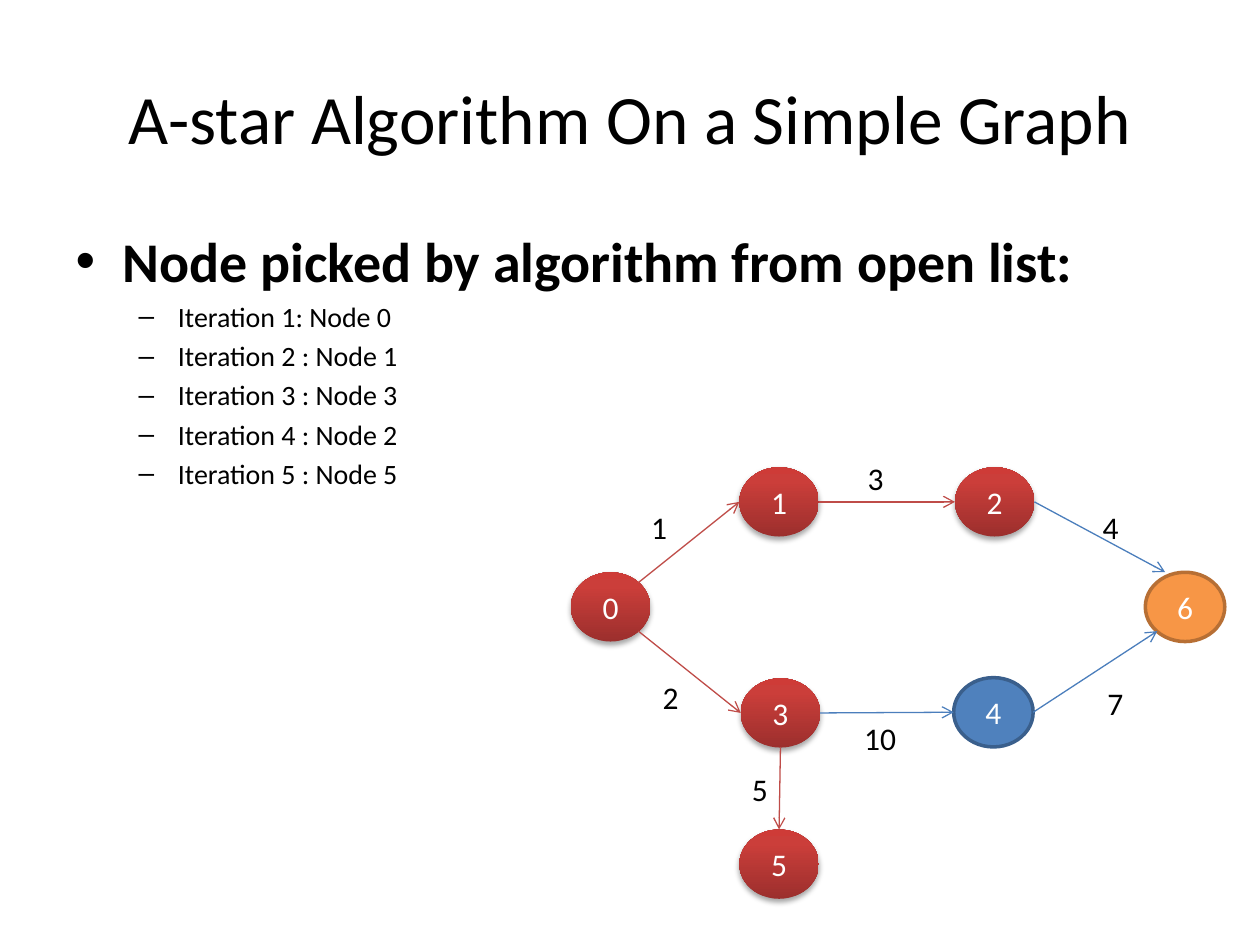
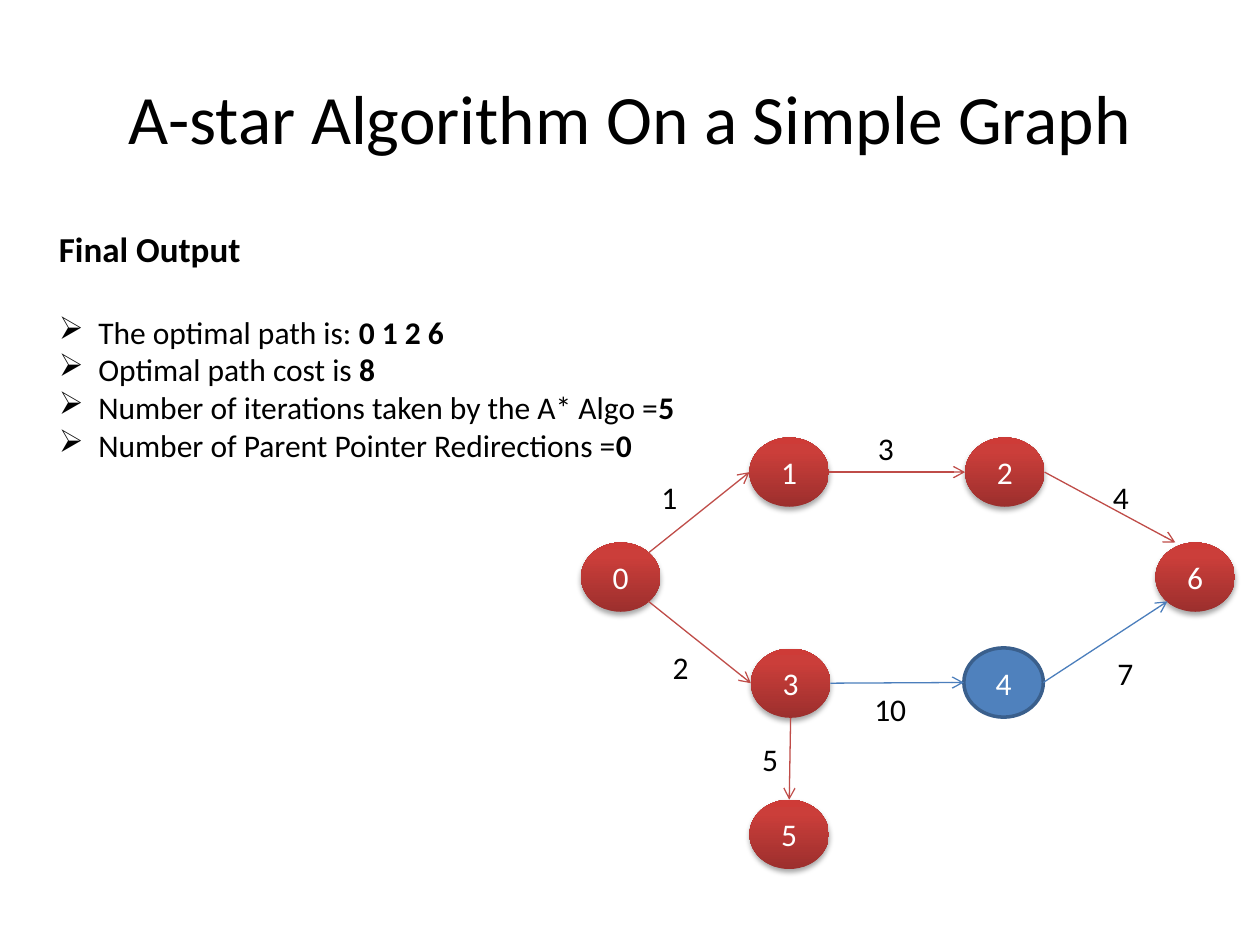
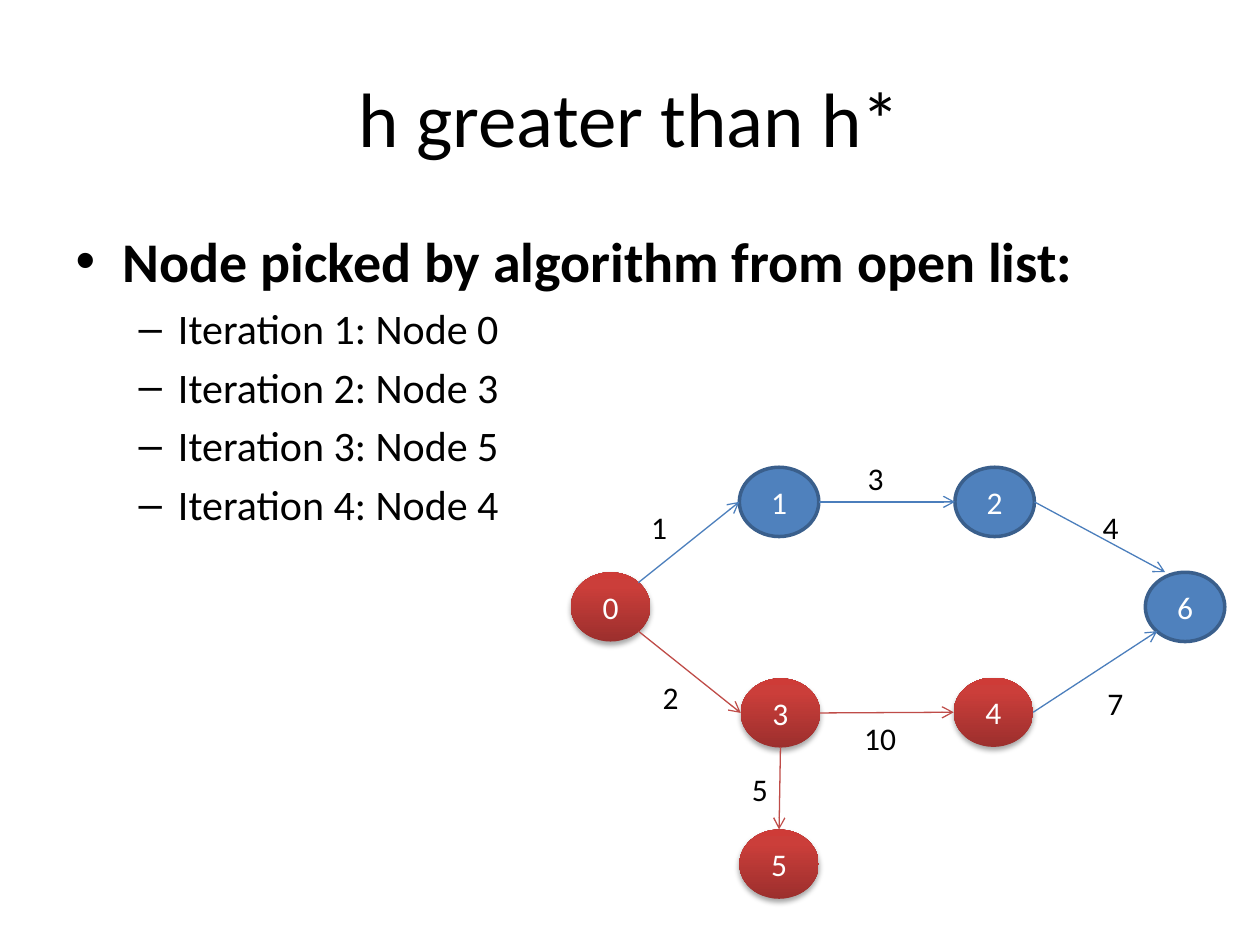
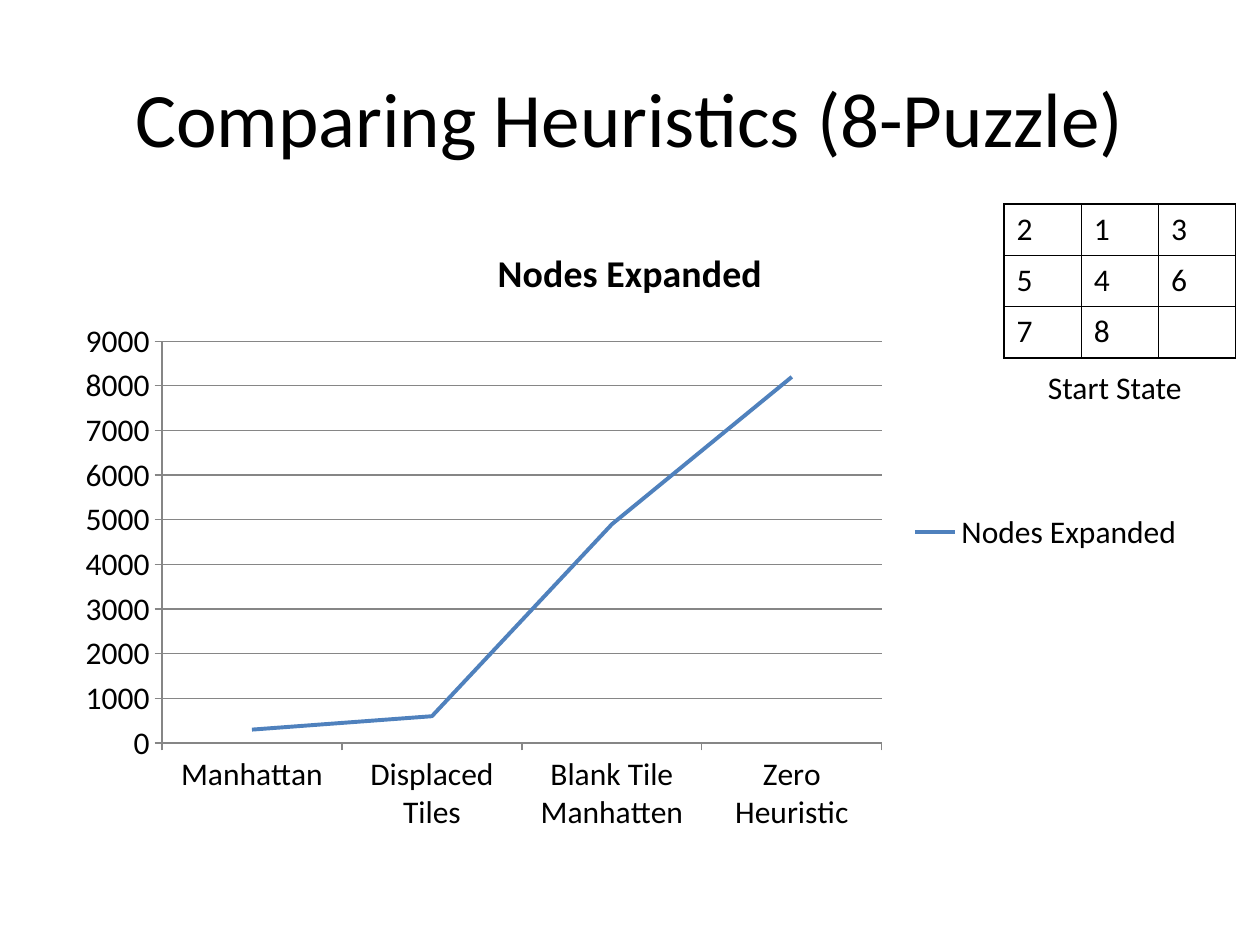
from lxml.etree import SubElement
from pptx import Presentation
from pptx.chart.data import CategoryChartData
from pptx.dml.color import RGBColor
from pptx.enum.chart import XL_CHART_TYPE, XL_LEGEND_POSITION, XL_TICK_MARK
from pptx.enum.shapes import MSO_CONNECTOR, MSO_SHAPE
from pptx.enum.text import MSO_ANCHOR, PP_ALIGN
from pptx.oxml import parse_xml
from pptx.oxml.ns import nsdecls, qn
from pptx.util import Pt

FONT = "Calibri"
HEX = {
    "black": "000000", "white": "FFFFFF", "grid": "868686",
    "blue": "4F81BD", "navy": "3A5F8C", "orange": "F79646", "brown": "B76F34",
    "red edge": "BF4C48", "blue edge": "4B7EBC",
    "dark red": "9C2F2D", "mid red": "CB3E3A", "light red": "CE3B37",
}
RGB = {name: RGBColor.from_string(code) for name, code in HEX.items()}

# Fill and shadow of a node that the search has picked
GLOW = (
    f'<a:gradFill {nsdecls("a")} rotWithShape="1"><a:gsLst>'
    f'<a:gs pos="0"><a:srgbClr val="{HEX["dark red"]}"/></a:gs>'
    f'<a:gs pos="80000"><a:srgbClr val="{HEX["mid red"]}"/></a:gs>'
    f'<a:gs pos="100000"><a:srgbClr val="{HEX["light red"]}"/></a:gs>'
    '</a:gsLst><a:lin ang="16200000" scaled="0"/></a:gradFill>'
)
SHADE = (
    f'<a:outerShdw {nsdecls("a")} blurRad="39400" dist="22900" dir="5400000" '
    f'rotWithShape="0"><a:srgbClr val="{HEX["black"]}"><a:alpha val="35000"/>'
    '</a:srgbClr></a:outerShdw>'
)

# Graph: node corners, edges with the side they leave and reach, edge costs
WIDE, HIGH = 45.4, 39.6
NODES = {
    "0": (326.2, 327), "4": (545, 387.2), "2": (545.7, 267), "6": (654.5, 327),
    "3": (423.3, 387.6), "1": (422.5, 267), "5": (422.5, 474),
}
SIDES = {
    "top": (0.5, 0), "bottom": (0.5, 1), "left": (0, 0.5), "right": (1, 0.5),
    "NE": (0.85, 0.15), "SE": (0.85, 0.85), "SW": (0.15, 0.85), "NNW": (0.25, 0),
}
EDGES = [
    ("0", "NE", "1", "left"), ("1", "right", "2", "left"),
    ("2", "right", "6", "NNW"), ("0", "SE", "3", "left"),
    ("3", "right", "4", "left"), ("4", "right", "6", "SW"),
    ("3", "bottom", "5", "top"),
]
COSTS = [  # text, left, top, width, extra left margin
    ("3", 484.6, 258.5, 39.6, 4), ("4", 614.9, 286.6, 51, 8),
    ("7", 625.7, 387.4, 28.8, 0), ("10", 486.7, 407.5, 39.6, 0),
    ("1", 365, 286.6, 28.8, 0), ("2", 371.5, 383.8, 22.3, 0),
    ("5", 422.6, 436.3, 22.3, 0),
]

PICKED = "Node picked by algorithm from open list:"
PAGES = [
    {"title": "A-star Algorithm On a Simple Graph", "size": 39.6,
     "list": ["Iteration 1: Node 0", "Iteration 2 : Node 1", "Iteration 3 : Node 3",
              "Iteration 4 : Node 2", "Iteration 5 : Node 5"],
     "small": 16, "red": "01235", "orange": "6", "shift": (0, 0)},
    {"title": "A-star Algorithm On a Simple Graph", "size": 39.6,
     "red": "012356", "orange": "", "shift": (5.8, -17)},
    {"title": "h greater than h*", "size": 44,
     "list": ["Iteration 1: Node 0", "Iteration 2: Node 3",
              "Iteration 3: Node 5", "Iteration 4: Node 4"],
     "small": 24, "red": "0345", "orange": "", "shift": (0, 0)},
    {"title": "Comparing Heuristics (8-Puzzle)", "size": 44},
]


def write(par, text, size=18, color="black", bold=False):
    run = par.add_run()
    run.text = text
    font = run.font
    font.name, font.size, font.bold = FONT, Pt(size), bold
    font.color.rgb = RGB[color]


def add_box(slide, left, top, width, height, pad=0):
    box = slide.shapes.add_textbox(Pt(left), Pt(top), Pt(width), Pt(height))
    frame = box.text_frame
    frame.word_wrap = True
    frame.margin_left = Pt(7.2 + pad)
    return frame


deck = Presentation()
deck.slide_width, deck.slide_height = Pt(720), Pt(540)
slides = []

for page in PAGES:
    # Title
    slide = deck.slides.add_slide(deck.slide_layouts[1 if "list" in page else 5])
    slides.append(slide)
    title = slide.shapes.title
    title.left, title.top, title.width, title.height = Pt(36), Pt(21.6), Pt(648), Pt(90)
    title.text_frame.vertical_anchor = MSO_ANCHOR.MIDDLE
    par = title.text_frame.paragraphs[0]
    par.alignment = PP_ALIGN.CENTER
    write(par, page["title"], page["size"])

    # List of picked nodes
    if "list" in page:
        body = slide.placeholders[1]
        body.left, body.top, body.width, body.height = Pt(36), Pt(126), Pt(648), Pt(356.4)
        write(body.text_frame.paragraphs[0], PICKED, 32, bold=True)
        for line in page["list"]:
            par = body.text_frame.add_paragraph()
            par.level = 1
            write(par, line, page["small"])

    if "red" not in page:
        continue
    dx, dy = page["shift"]

    # Nodes
    for name, (x, y) in NODES.items():
        node = slide.shapes.add_shape(
            MSO_SHAPE.OVAL, Pt(x + dx), Pt(y + dy), Pt(WIDE), Pt(HIGH))
        node.shadow.inherit = False
        props = node._element.spPr
        if name in page["red"]:
            node.line.fill.background()
            props.find(qn("a:prstGeom")).addnext(parse_xml(GLOW))
            props.find(qn("a:effectLst")).append(parse_xml(SHADE))
        else:
            warm = name in page["orange"]
            node.fill.solid()
            node.fill.fore_color.rgb = RGB["orange" if warm else "blue"]
            node.line.color.rgb = RGB["brown" if warm else "navy"]
            node.line.width = Pt(2)
        node.text_frame.vertical_anchor = MSO_ANCHOR.MIDDLE
        par = node.text_frame.paragraphs[0]
        par.alignment = PP_ALIGN.CENTER
        write(par, name, color="white")

    # Edges: red where both ends have been picked
    for tail, out, head, into in EDGES:
        ends = []
        for name, side in ((tail, out), (head, into)):
            (x, y), (fx, fy) = NODES[name], SIDES[side]
            ends += [Pt(x + dx + fx * WIDE), Pt(y + dy + fy * HIGH)]
        edge = slide.shapes.add_connector(MSO_CONNECTOR.STRAIGHT, *ends)
        both = tail in page["red"] and head in page["red"]
        edge.line.color.rgb = RGB["red edge" if both else "blue edge"]
        edge.line.width = Pt(0.75)
        props = edge._element.spPr
        SubElement(props.find(qn("a:ln")), qn("a:tailEnd"), type="arrow")
        SubElement(props, qn("a:effectLst"))

    # Edge costs
    for cost, x, y, width, pad in COSTS:
        frame = add_box(slide, x + dx, y + dy, width, 29, pad)
        write(frame.paragraphs[0], cost)

# Final output
frame = add_box(slides[1], 26.6, 126.7, 460.8, 143.3)
write(frame.paragraphs[0], "Final Output", 20, bold=True)
RESULTS = [
    ("The optimal path is: ", "0 1 2 6"), ("Optimal path cost is ", "8"),
    ("Number of iterations taken by the A* Algo =", "5"),
    ("Number of Parent Pointer Redirections =", "0"),
]
for row, (text, value) in enumerate(RESULTS):
    par = frame.add_paragraph()
    par.space_before = Pt(0 if row else 24.4)
    props = par._p.get_or_add_pPr()
    props.set("marL", str(Pt(22.5)))
    props.set("indent", str(-Pt(22.5)))
    SubElement(props, qn("a:buChar"), char="➢")
    write(par, text)
    write(par, value, bold=True)

# Chart of expanded nodes
last = slides[3]
data = CategoryChartData()
data.categories = ["Manhattan", "Displaced Tiles", "Blank Tile Manhatten", "Zero Heuristic"]
data.add_series("Nodes Expanded", (300, 600, 4900, 8200))
chart = last.shapes.add_chart(
    XL_CHART_TYPE.LINE, Pt(36), Pt(126), Pt(648), Pt(356.4), data).chart
chart.font.name, chart.font.size = FONT, Pt(18)
chart.font.color.rgb = RGB["black"]
chart.has_title = True
write(chart.chart_title.text_frame.paragraphs[0], "Nodes Expanded", 21.6, bold=True)
chart.chart_title.include_in_layout = False
chart.has_legend = True
chart.legend.position = XL_LEGEND_POSITION.RIGHT
chart.legend.include_in_layout = False
plot = chart.plots[0]
plot.vary_by_categories = False
trend = plot.series[0]
trend.smooth = False
trend.format.line.color.rgb = RGB["blue"]
trend.format.line.width = Pt(2.25)
chart.value_axis.has_major_gridlines = True
for axis in (chart.category_axis, chart.value_axis):
    axis.major_tick_mark = XL_TICK_MARK.OUTSIDE
    axis.minor_tick_mark = XL_TICK_MARK.NONE
for part in (chart.category_axis, chart.value_axis, chart.value_axis.major_gridlines):
    part.format.line.color.rgb = RGB["grid"]
    part.format.line.width = Pt(0.75)

# Start state of the puzzle
TILES = ["213", "546", "78"]
table = last.shapes.add_table(3, 3, Pt(573.8), Pt(116.6), Pt(132.3), Pt(87.9)).table
table.first_row = table.horz_banding = False
for r, tiles in enumerate(TILES):
    table.rows[r].height = Pt(29.3)
    table.columns[r].width = Pt(44.1)
    for c in range(3):
        cell = table.cell(r, c)
        if c < len(tiles):
            write(cell.text_frame.paragraphs[0], tiles[c])
        props = cell._tc.get_or_add_tcPr()
        for side in ("lnL", "lnR", "lnT", "lnB"):
            edge = SubElement(props, qn("a:" + side), w=str(Pt(1)))
            fill = SubElement(edge, qn("a:solidFill"))
            SubElement(fill, qn("a:srgbClr"), val=HEX["black"])
        cell.fill.background()
frame = add_box(last, 575.3, 206.6, 124.6, 29, 16.3)
write(frame.paragraphs[0], "Start State")

deck.save("out.pptx")
